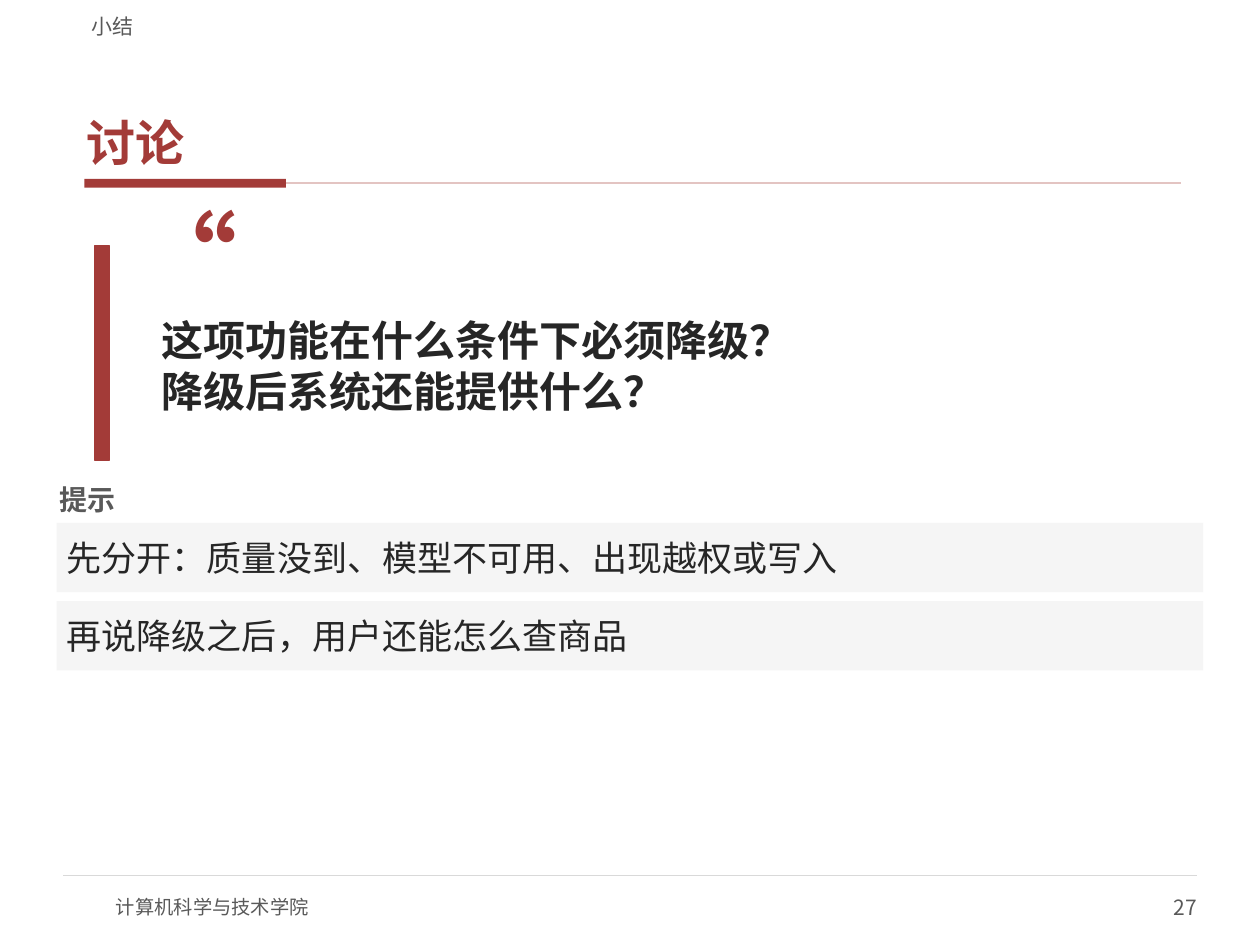
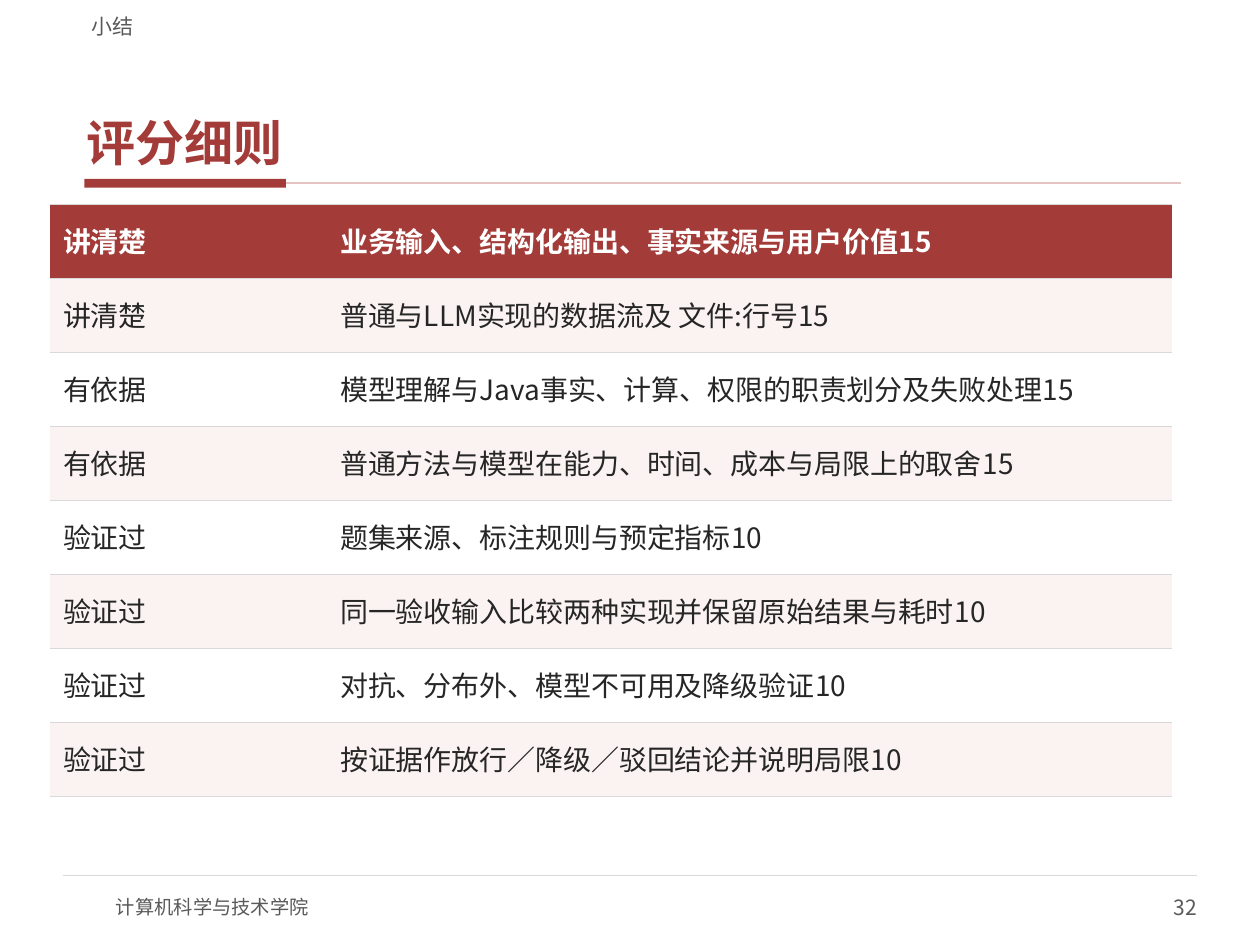
from lxml import etree
from pptx import Presentation
from pptx import util as u
from pptx.dml.color import RGBColor
from pptx.enum import shapes, text
from pptx.oxml.ns import qn

FONT = "Noto Sans CJK SC"
RED, PINK_LINE, PINK = "A33B38", "E3C4C2", "FBF3F2"
INK, GREY, RULE, PANEL, WHITE = "262626", "595959", "D9D9D9", "F5F5F5", "FFFFFF"
TOP, MIDDLE, BOTTOM = (text.MSO_ANCHOR.TOP, text.MSO_ANCHOR.MIDDLE,
                       text.MSO_ANCHOR.BOTTOM)
PANEL_INSETS = (0.08, 0.04)

RUBRIC = [
    ("讲清楚", "业务输入、结构化输出、事实来源与用户价值15"),
    ("讲清楚", "普通与LLM实现的数据流及 文件:行号15"),
    ("有依据", "模型理解与Java事实、计算、权限的职责划分及失败处理15"),
    ("有依据", "普通方法与模型在能力、时间、成本与局限上的取舍15"),
    ("验证过", "题集来源、标注规则与预定指标10"),
    ("验证过", "同一验收输入比较两种实现并保留原始结果与耗时10"),
    ("验证过", "对抗、分布外、模型不可用及降级验证10"),
    ("验证过", "按证据作放行／降级／驳回结论并说明局限10"),
]


def rgb(value):
    return RGBColor.from_string(value)


def set_all(target, values):
    for name, value in values.items():
        setattr(target, name, value)


class Deck:
    def __init__(self):
        self.prs = Presentation()
        self.prs.slide_width, self.prs.slide_height = u.Inches(10), u.Inches(7.5)
        self.slide = None

    def set_text(self, frame, words, size, color, bold=False, **paragraph_format):
        paragraph = frame.paragraphs[0]
        paragraph.text = words
        set_all(paragraph, paragraph_format)
        for run in paragraph.runs:
            set_all(run.font, {"size": u.Pt(size), "bold": bold, "name": FONT})
            run.font.color.rgb = rgb(color)
            east_asian = etree.SubElement(run.font._element, qn("a:ea"))
            east_asian.set("typeface", FONT)

    def fit(self, frame, insets, anchor):
        side, edge = (u.Inches(inset) for inset in insets)
        set_all(frame, {"word_wrap": True, "vertical_anchor": anchor,
                        "margin_left": side, "margin_right": side,
                        "margin_top": edge, "margin_bottom": edge})

    def label(self, at, words, size, color, bold=False, insets=(0, 0),
              anchor=MIDDLE, **paragraph_format):
        frame = self.slide.shapes.add_textbox(*map(u.Inches, at)).text_frame
        self.fit(frame, insets, anchor)
        self.set_text(frame, words, size, color, bold, **paragraph_format)

    def block(self, at, fill, outline=None):
        block = self.slide.shapes.add_shape(
            shapes.MSO_SHAPE.RECTANGLE, *map(u.Inches, at))
        block.shadow.inherit = False
        block.fill.solid()
        block.fill.fore_color.rgb = rgb(fill)
        if outline:
            block.line.color.rgb = rgb(outline)
            block.line.width = u.Pt(1)
        else:
            block.line.fill.background()
        return block

    def panel(self, at, words):
        frame = self.block(at, PANEL).text_frame
        self.fit(frame, PANEL_INSETS, MIDDLE)
        self.set_text(frame, words, 20, INK, alignment=text.PP_ALIGN.LEFT)

    def rule(self, left, right, y, color, width):
        rule = self.slide.shapes.add_connector(
            shapes.MSO_CONNECTOR.STRAIGHT, *map(u.Inches, (left, y, right, y)))
        rule.line.color.rgb = rgb(color)
        rule.line.width = u.Pt(width)
        etree.SubElement(rule._element.spPr, qn("a:effectLst"))
        return rule

    def start(self, title, number):
        """Open a slide with its section mark, title, band and footer."""
        self.slide = self.prs.slides.add_slide(self.prs.slide_layouts[6])
        band_top, band_height = 1.42, 0.07
        band = self.block((0.67, band_top, 1.6, band_height), RED)
        title_rule = self.rule(2.27, 9.37, band_top + band_height / 2, PINK_LINE, 1)
        title_rule.begin_connect(band, 3)
        self.rule(0.5, 9.5, 6.95, RULE, 0.75)
        self.label((0.92, 7, 4, 0.4), "计算机科学与技术学院", 11, GREY)
        self.label((7.5, 7, 2, 0.4), str(number), 12, GREY,
                   alignment=text.PP_ALIGN.RIGHT)
        self.label((0.63, 0.33, 8.75, 1.05), title, 28, RED, True,
                   (0.06, 0.02), BOTTOM, space_after=u.Pt(2))
        self.label((0.63, 0.04, 8.75, 0.27), "小结", 12, GREY,
                   insets=(0.1, 0), anchor=BOTTOM)

    def border(self, cell):
        properties = cell._tc.get_or_add_tcPr()
        for place, side in enumerate("LRTB"):
            line = etree.Element(qn(f"a:ln{side}"))
            if side in "TB":
                line.set("w", str(u.Pt(0.75)))
                fill = etree.SubElement(line, qn("a:solidFill"))
                etree.SubElement(fill, qn("a:srgbClr")).set("val", RULE)
            else:
                line.set("w", "0")
                etree.SubElement(line, qn("a:noFill"))
            properties.insert(place, line)

    def table(self, at, widths, rows):
        table = self.slide.shapes.add_table(
            len(rows), len(widths), *map(u.Inches, at)).table
        for column, width in zip(table.columns, widths):
            column.width = u.Inches(width)
        for row_index, row in enumerate(rows):
            header = row_index == 0
            fill = RED if header else PINK if row_index % 2 else WHITE
            for column_index, words in enumerate(row):
                cell = table.cell(row_index, column_index)
                cell.vertical_anchor = MIDDLE
                cell.fill.solid()
                cell.fill.fore_color.rgb = rgb(fill)
                self.border(cell)
                self.set_text(cell.text_frame, words, 16, WHITE if header else INK,
                              header, line_spacing=0.9, space_after=u.Pt(2))


def main():
    deck = Deck()

    # Discussion: question and hints
    deck.start("讨论", 27)
    deck.block((0.75, 1.95, 0.12, 1.7), RED, RED)
    deck.label((1.05, 1.55, 1, 1), "“", 60, RED, True, anchor=TOP)
    deck.label((1.2, 2.15, 8.35, 1.5),
               "这项功能在什么条件下必须降级？\n降级后系统还能提供什么？",
               24, INK, True, PANEL_INSETS)
    deck.label((0.45, 3.8, 3, 0.32), "提示", 16, GREY, True, (0.02, 0.01))
    hints = ("先分开：质量没到、模型不可用、出现越权或写入",
             "再说降级之后，用户还能怎么查商品")
    for index, hint in enumerate(hints):
        deck.panel((0.45, 4.15 + index * 0.62, 9.1, 0.55), hint)

    # Grading rubric
    deck.start("评分细则", 32)
    deck.table((0.4, 1.62, 8.9, 4.7), (2.2, 6.7), RUBRIC)

    deck.prs.save("out.pptx")


if __name__ == "__main__":
    main()
